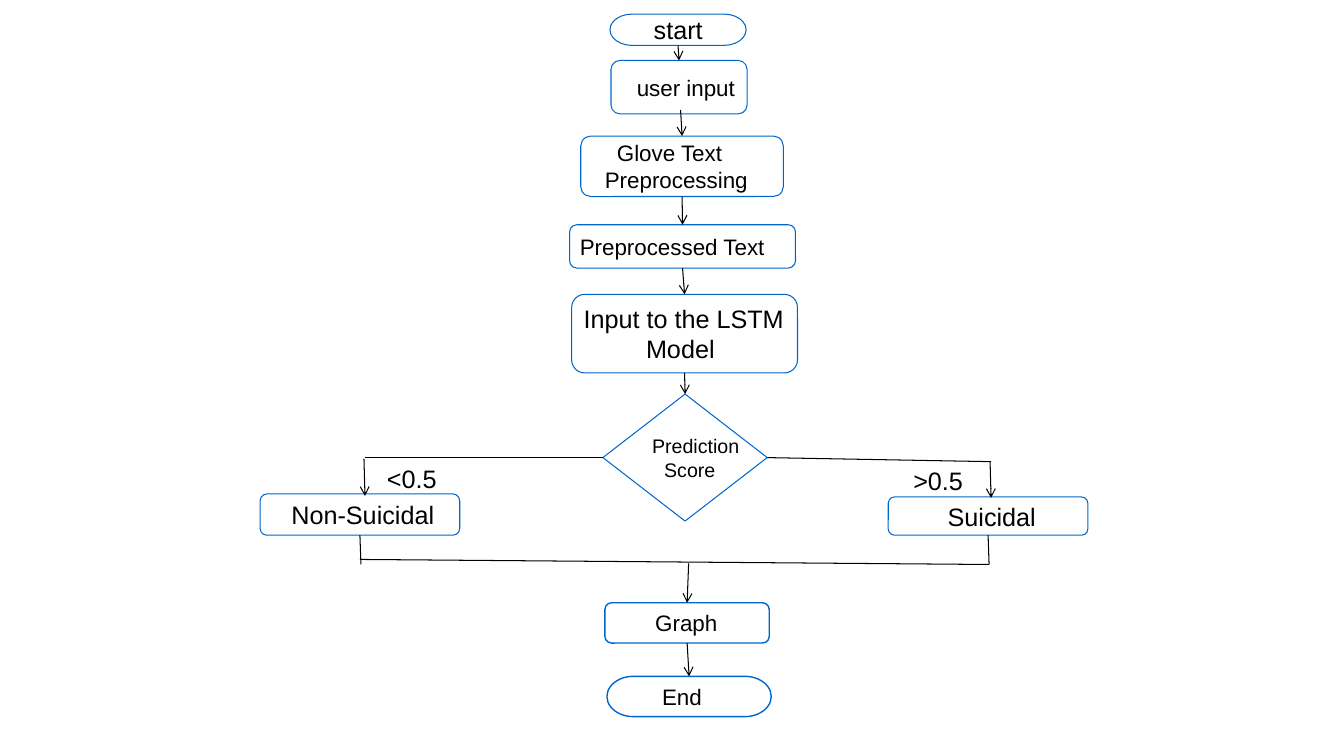
from lxml import etree
from pptx import Presentation
from pptx.dml.color import RGBColor
from pptx.enum.shapes import MSO_CONNECTOR as Connector, MSO_SHAPE as Shape
from pptx.enum.text import MSO_ANCHOR as Anchor, PP_ALIGN as Align
from pptx.oxml.ns import qn
from pptx.util import Pt

PX = 9144  # 100 px to the inch
FONT = "Arial"
COLORS = {"box": "FFFFFF", "border": "0066CC", "ink": "000000"}
TOP, LEFT, BOTTOM, RIGHT = range(4)

# name: preset, box, border width, text size, lines of (text, indent)
STEPS = {
    "start": (Shape.FLOWCHART_TERMINATOR, (605, 14, 135, 31), 0.75, 18, [("start", 37)]),
    "input": (Shape.ROUNDED_RECTANGLE, (606, 60, 135, 53), 0.75, 16, [("user input", 23)]),
    "glove": (Shape.ROUNDED_RECTANGLE, (576, 135, 201, 60), 0.75, 16,
              [("Glove Text", 33), ("Preprocessing", 21)]),
    "text": (Shape.ROUNDED_RECTANGLE, (565, 223, 224, 43), 0.75, 16,
             [("Preprocessed Text", 8)]),
    "model": (Shape.ROUNDED_RECTANGLE, (567, 292, 224, 78), 0.75, 18,
              [("Input to the LSTM", 8), ("Model", 70)]),
    "score": (Shape.DIAMOND, (598, 391, 163, 126), 0.75, 14,
              [("Prediction", 8), ("Score", 20)]),
    "negative": (Shape.ROUNDED_RECTANGLE, (258, 490, 198, 41), 0.75, 18,
                 [("Non-Suicidal", 29)]),
    "positive": (Shape.ROUNDED_RECTANGLE, (881, 493, 198, 38), 0.75, 18,
                 [("Suicidal", 57)]),
    "graph": (Shape.ROUNDED_RECTANGLE, (600, 598, 163, 40), 1, 16, [("Graph", 48)]),
    "end": (Shape.FLOWCHART_TERMINATOR, (602, 671, 163, 40), 1, 16, [("End", 47)]),
}

LABELS = [(">0.5", (896, 457, 134, 37)), ("<0.5", (374, 455, 153, 37))]

# An end is either (step name, side) or a point in px
ARROWS = [
    (("start", BOTTOM), ("input", TOP)),
    ((675, 109), ("glove", TOP)),
    (("glove", BOTTOM), ("text", TOP)),
    (("text", BOTTOM), ("model", TOP)),
    (("model", BOTTOM), ("score", TOP)),
    ((361, 455), (362, 492)),
    ((982, 458), (983, 494)),
    ((683, 559), ("graph", TOP)),
    (("graph", BOTTOM), ("end", TOP)),
]
LINES = [
    (("score", RIGHT), (983, 458)),
    (("score", LEFT), (362, 454)),
    (("negative", BOTTOM), (358, 560)),
    (("positive", BOTTOM), (981, 560)),
    ((357, 555), (981, 560)),
]


def scaled(lengths):
    return [length * PX for length in lengths]


def color(name):
    return RGBColor.from_string(COLORS[name])


def write_lines(text_frame, lines, size):
    """Write left-aligned paragraphs, each with its own indent in px."""
    text_frame.text = "\n".join(text for text, _ in lines)
    for paragraph, (_, indent) in zip(text_frame.paragraphs, lines):
        paragraph.alignment = Align.LEFT
        properties = paragraph._p.get_or_add_pPr()
        properties.set("marL", str(indent * PX))
        properties.set("indent", "0")
        font = paragraph.runs[0].font
        font.name, font.size = FONT, Pt(size)
        font.color.rgb = color("ink")


def add_step(slide, preset, box, border, size, lines):
    shape = slide.shapes.add_shape(preset, *scaled(box))
    shape.shadow.inherit = False
    shape.fill.solid()
    shape.fill.fore_color.rgb = color("box")
    shape.line.color.rgb = color("border")
    shape.line.width = Pt(border)
    text_frame = shape.text_frame
    text_frame.word_wrap = True
    text_frame.vertical_anchor = Anchor.MIDDLE
    text_frame.margin_left = text_frame.margin_top = text_frame.margin_bottom = 0
    # The diamond's inner text area is narrower than its longest word
    text_frame.margin_right = -25 * PX if preset == Shape.DIAMOND else 0
    write_lines(text_frame, lines, size)
    return shape


def add_label(slide, text, box):
    text_frame = slide.shapes.add_textbox(*scaled(box)).text_frame
    text_frame.word_wrap = True
    write_lines(text_frame, [(text, 0)], 18)


def add_link(slide, steps, begin, end, arrow):
    """Draw a straight line, joined to a step wherever an end names one."""
    points = [(0, 0) if point[0] in steps else scaled(point) for point in (begin, end)]
    connector = slide.shapes.add_connector(Connector.STRAIGHT, *points[0], *points[1])
    for point, connect in ((begin, connector.begin_connect), (end, connector.end_connect)):
        if point[0] in steps:
            connect(steps[point[0]], point[1])
    connector.line.color.rgb = color("ink")
    connector.line.width = Pt(0.75)
    if arrow:
        etree.SubElement(connector.line._get_or_add_ln(), qn("a:tailEnd"), type="arrow")
    etree.SubElement(connector._element.spPr, qn("a:effectLst"))


def add_flowchart(slide):
    steps = {name: add_step(slide, *step) for name, step in STEPS.items()}
    for text, box in LABELS:
        add_label(slide, text, box)
    for links, arrow in ((ARROWS, True), (LINES, False)):
        for begin, end in links:
            add_link(slide, steps, begin, end, arrow)


def main():
    presentation = Presentation()
    presentation.slide_width, presentation.slide_height = scaled((1333, 750))
    add_flowchart(presentation.slides.add_slide(presentation.slide_layouts[6]))
    presentation.save("out.pptx")


if __name__ == "__main__":
    main()
